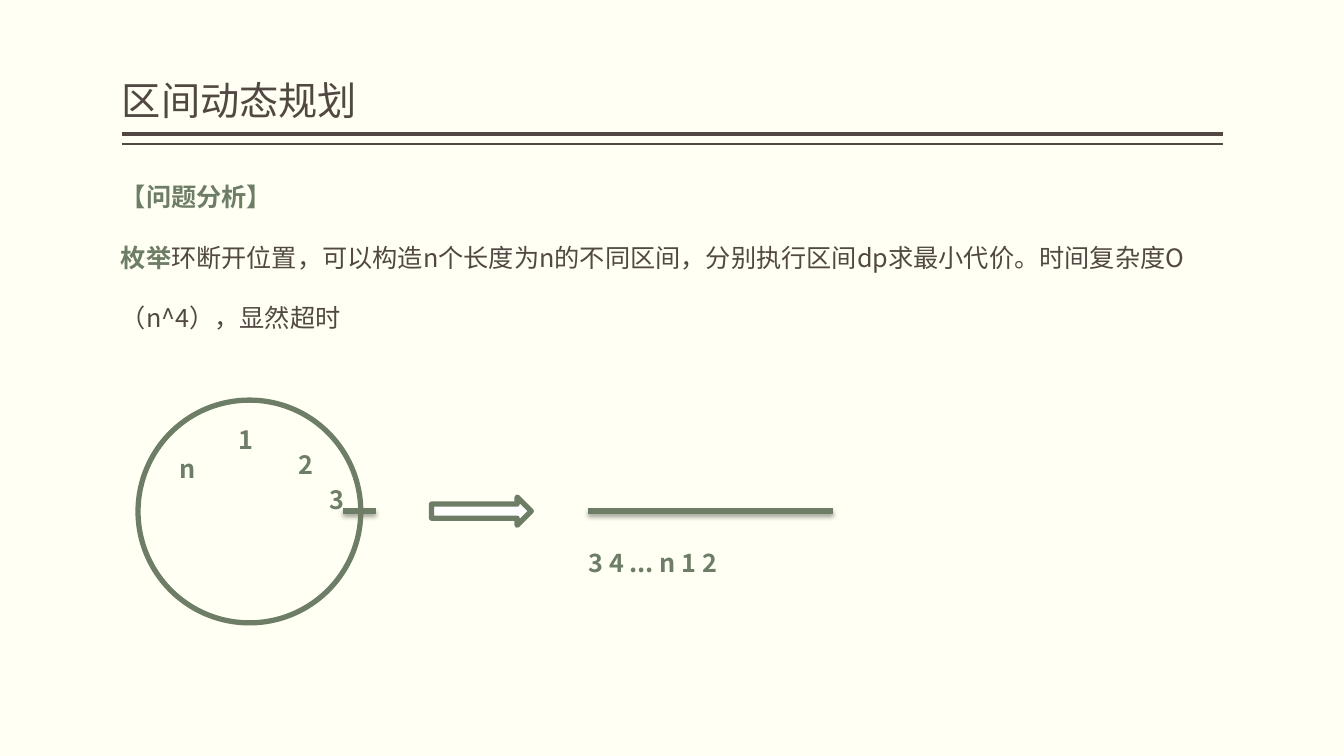
import pptx
import pptx.util
import pptx.dml.color
import pptx.enum.shapes
import pptx.enum.text
import pptx.oxml
import pptx.oxml.ns

Pt = pptx.util.Pt
RGBColor = pptx.dml.color.RGBColor
Shape = pptx.enum.shapes.MSO_SHAPE
Anchor = pptx.enum.text.MSO_ANCHOR
Align = pptx.enum.text.PP_ALIGN
Fit = pptx.enum.text.MSO_AUTO_SIZE

CREAM = RGBColor(0xFF, 0xFF, 0xF3)
BROWN = RGBColor(0x51, 0x48, 0x43)
GREEN = RGBColor(0x6D, 0x7D, 0x66)
WHITE = RGBColor(0xFF, 0xFF, 0xFF)

SHADE = (
    '<a:effectLst %s><a:outerShdw blurRad="44450" dist="25400" dir="5400000" '
    'rotWithShape="0"><a:srgbClr val="000000"><a:alpha val="38000"/></a:srgbClr>'
    '</a:outerShdw></a:effectLst>' % pptx.oxml.ns.nsdecls("a")
)
PLAIN = "<a:effectLst %s/>" % pptx.oxml.ns.nsdecls("a")


class Board:
    face = "Noto Sans CJK SC"
    thick = 3.78

    def __init__(self, deck):
        self.slide = deck.slides.add_slide(deck.slide_layouts[6])
        fill = self.slide.background.fill
        fill.solid()
        fill.fore_color.rgb = CREAM

    def style(self, run, size, color, bold):
        font = run.font
        font.name = self.face
        font.size = Pt(size)
        font.bold = bold
        font.color.rgb = color
        east = pptx.oxml.parse_xml(
            '<a:ea %s typeface="%s"/>' % (pptx.oxml.ns.nsdecls("a"), self.face)
        )
        run._r.get_or_add_rPr().append(east)

    def text(self, left, top, width, height, rows, size=18, space=2, align=None):
        box = self.slide.shapes.add_textbox(Pt(left), Pt(top), Pt(width), Pt(height))
        frame = box.text_frame
        frame.word_wrap = True
        frame.auto_size = Fit.SHAPE_TO_FIT_TEXT
        for i, row in enumerate(rows):
            para = frame.add_paragraph() if i else frame.paragraphs[0]
            para.line_spacing = space
            para.alignment = align
            for words, color, bold in row:
                run = para.add_run()
                run.text = words
                self.style(run, size, color, bold)
        return frame

    def label(self, left, top, words, width=28, align=None):
        self.text(left, top, width, 44.6, [[(words, GREEN, True)]], align=align)

    def title(self, left, top, width, height, words):
        frame = self.text(
            left, top, width, height, [[(words, BROWN, False)]], size=28, space=0.9
        )
        frame.auto_size = Fit.NONE
        frame.vertical_anchor = Anchor.BOTTOM
        frame.margin_left = frame.margin_right = 0

    def line(self, start, end, y, color, weight, effect=PLAIN):
        rule = self.slide.shapes.add_connector(
            pptx.enum.shapes.MSO_CONNECTOR.STRAIGHT, Pt(start), Pt(y), Pt(end), Pt(y)
        )
        rule.line.color.rgb = color
        rule.line.width = Pt(weight)
        rule._element.spPr.append(pptx.oxml.parse_xml(effect))

    def shape(self, kind, left, top, width, height, fill=None):
        item = self.slide.shapes.add_shape(
            kind, Pt(left), Pt(top), Pt(width), Pt(height)
        )
        item.shadow.inherit = False
        if fill is None:
            item.fill.background()
        else:
            item.fill.solid()
            item.fill.fore_color.rgb = fill
        item.line.color.rgb = GREEN
        item.line.width = Pt(self.thick)


def main():
    deck = pptx.Presentation()
    deck.slide_width = Pt(960)
    deck.slide_height = Pt(540)
    board = Board(deck)

    for y, weight in ((95.8, 3), (103, 1)):
        board.line(87.1, 873.4, y, BROWN, weight)
    board.title(87.1, 5.8, 786.2, 86.4, "区间动态规划")
    board.text(79.2, 104.4, 791.3, 138.2, [
        [("【问题分析】", GREEN, True)],
        [
            ("枚举", GREEN, True),
            ("环断开位置，可以构造n个长度为n的不同区间，分别执行区间dp求最小代价。"
             "时间复杂度O（n^4），显然超时", BROWN, False),
        ],
    ])

    board.shape(Shape.RIGHT_ARROW, 308.2, 355, 71.3, 20.2, WHITE)
    for start, end in ((419.8, 594.7), (244.8, 268.6)):
        board.line(start, end, 365, GREEN, board.thick, SHADE)
    board.label(413.3, 365.8, "3 4 ... n 1 2", 187.2, Align.JUSTIFY)

    board.shape(Shape.OVAL, 98.6, 285.8, 159.1, 159.1)
    for words, left, top in (
        ("3", 228.2, 321.1),
        ("1", 163.4, 277.9),
        ("n", 121, 298.8),
        ("2", 205.9, 295.9),
    ):
        board.label(left, top, words)

    deck.save("out.pptx")


if __name__ == "__main__":
    main()
